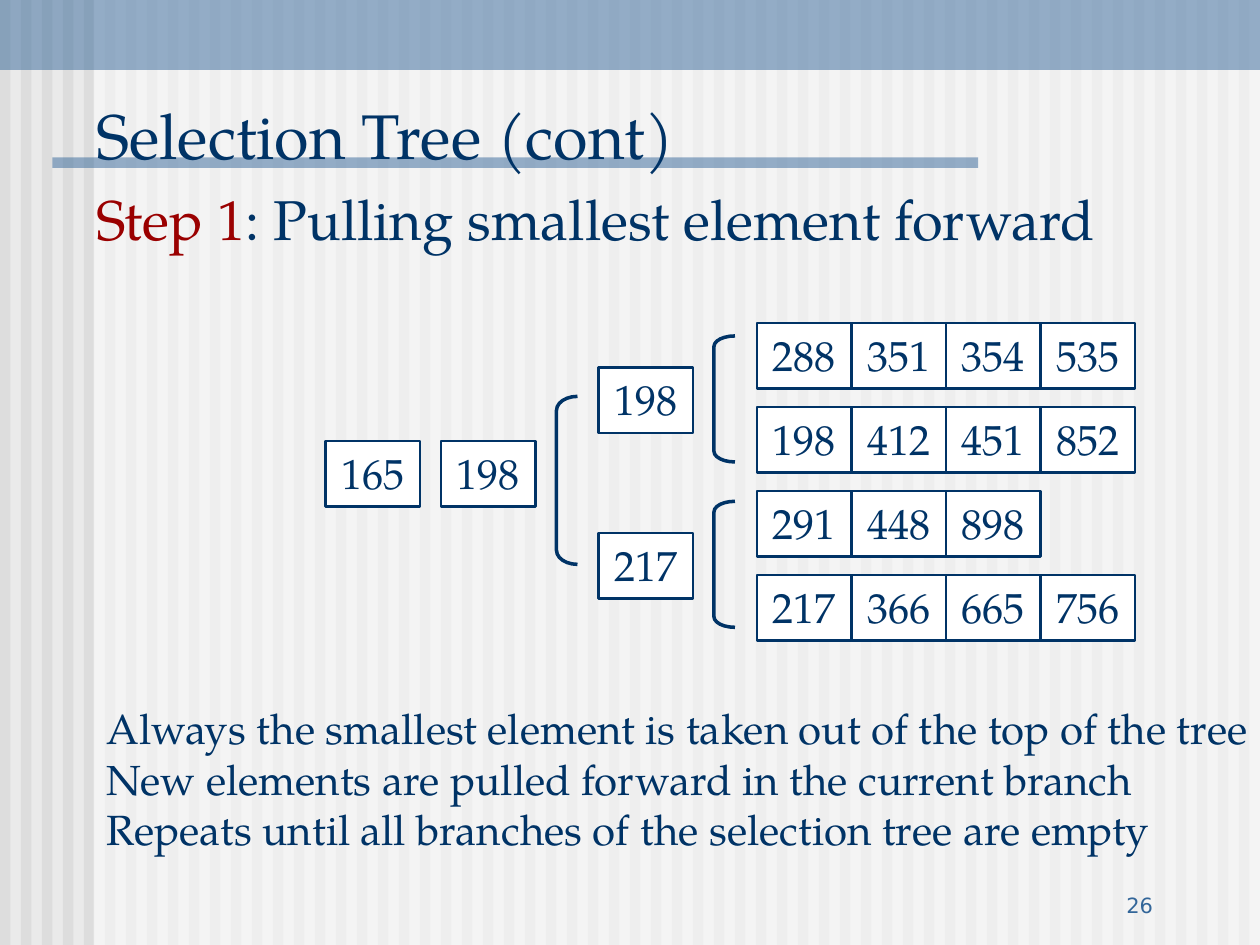
from dataclasses import dataclass

from lxml import etree
from pptx import Presentation, util as u
from pptx.dml import color
from pptx.enum import shapes, text
from pptx.oxml import ns

NAVY, BLUE, RED, WHITE = "003366", "336699", "9A0000", "FFFFFF"
SERIF, SANS = "TeX Gyre Pagella", "DejaVu Sans"
SLIDE_WIDTH, SLIDE_HEIGHT = 720, 540
STRIPE_COUNT, STRIPE_PITCH, STRIPE_WIDTH = 60, 12, 6
CELL_WIDTH, CELL_HEIGHT = 54, 37.5
RUNS_LEFT, RUNS_TOP, RUN_PITCH = 432.5, 184.5, 48


@dataclass(frozen=True)
class Box:
    left: float
    top: float
    width: float
    height: float

    def lengths(self) -> tuple:
        return tuple(u.Pt(value) for value in (self.left, self.top, self.width, self.height))


@dataclass(frozen=True)
class Node:
    value: int
    left: float
    top: float


@dataclass(frozen=True)
class Bracket:
    box: Box
    curve: float


SORTED_RUNS = [
    (288, 351, 354, 535),
    (198, 412, 451, 852),
    (291, 448, 898),
    (217, 366, 665, 756),
]
TREE_NODES = [
    Node(198, 342, 210),
    Node(217, 342, 304.5),
    Node(198, 252, 252),
    Node(165, 186, 252),
]
BRACKETS = [
    Bracket(Box(408, 192, 12, 72), 0.5),
    Bracket(Box(408, 286.5, 12, 72), 0.5),
    Bracket(Box(318, 226.5, 12, 96), 0.667),
]
CONCLUSIONS = [
    "Always the smallest element is taken out of the top of the tree",
    "New elements are pulled forward in the current branch",
    "Repeats until all branches of the selection tree are empty",
]


def rgb(value: str) -> color.RGBColor:
    return color.RGBColor.from_string(value)


def add_run(paragraph, content: str, *, size: float = 24, font: str = SERIF, ink: str = NAVY) -> None:
    run = paragraph.add_run()
    run.text = content
    run.font.size = u.Pt(size)
    run.font.name = font
    run.font.color.rgb = rgb(ink)


def add_rectangle(slide, box: Box, fill: str, alpha: int = 100):
    shape = slide.shapes.add_shape(shapes.MSO_SHAPE.RECTANGLE, *box.lengths())
    shape.shadow.inherit = False
    shape.fill.solid()
    shape.fill.fore_color.rgb = rgb(fill)
    shape.line.fill.background()
    if alpha < 100:
        tint = shape.fill._xPr.find(f".//{ns.qn('a:srgbClr')}")
        etree.SubElement(tint, ns.qn("a:alpha"), val=str(alpha * 1000))
    return shape


def add_text(slide, box: Box, lines: list[list[tuple[str, str]]], *, size: float, font: str = SERIF,
             anchor=text.MSO_ANCHOR.TOP, align=text.PP_ALIGN.LEFT) -> None:
    frame = slide.shapes.add_textbox(*box.lengths()).text_frame
    frame.word_wrap = True
    frame.vertical_anchor = anchor
    for index, line in enumerate(lines):
        paragraph = frame.add_paragraph() if index else frame.paragraphs[0]
        paragraph.alignment = align
        for content, ink in line:
            add_run(paragraph, content, size=size, font=font, ink=ink)


def add_node(slide, node: Node) -> None:
    shape = add_rectangle(slide, Box(node.left, node.top, CELL_WIDTH, CELL_HEIGHT), WHITE)
    shape.line.color.rgb = rgb(NAVY)
    shape.line.width = u.Pt(1.5)
    shape.text_frame.vertical_anchor = text.MSO_ANCHOR.TOP
    paragraph = shape.text_frame.paragraphs[0]
    paragraph.alignment = text.PP_ALIGN.CENTER
    add_run(paragraph, str(node.value))


def add_bracket(slide, bracket: Bracket) -> None:
    shape = slide.shapes.add_shape(shapes.MSO_SHAPE.LEFT_BRACKET, *bracket.box.lengths())
    shape.shadow.inherit = False
    shape.adjustments[0] = bracket.curve
    shape.fill.background()
    shape.line.color.rgb = rgb(NAVY)
    shape.line.width = u.Pt(2)


def add_backdrop(slide) -> None:
    slide.background.fill.solid()
    slide.background.fill.fore_color.rgb = rgb("EAEAEA")
    for index in range(STRIPE_COUNT):
        add_rectangle(slide, Box(index * STRIPE_PITCH, 0, STRIPE_WIDTH, SLIDE_HEIGHT), "DDDDDD")
    add_rectangle(slide, Box(53.5, 0, SLIDE_WIDTH - 53.5, SLIDE_HEIGHT), WHITE, 50)
    add_rectangle(slide, Box(0, 0, SLIDE_WIDTH, 40), BLUE, 50)
    add_rectangle(slide, Box(30, 90, 529, 6), BLUE, 50)


def main() -> None:
    """Build the selection tree slide."""
    presentation = Presentation()
    presentation.slide_width = u.Pt(SLIDE_WIDTH)
    presentation.slide_height = u.Pt(SLIDE_HEIGHT)
    slide = presentation.slides.add_slide(presentation.slide_layouts[6])
    add_backdrop(slide)
    add_text(slide, Box(516, 492, 150, 36), [[("26", BLUE)]], size=12, font=SANS,
             anchor=text.MSO_ANCHOR.BOTTOM, align=text.PP_ALIGN.RIGHT)
    add_text(slide, Box(48, 42, 672, 60), [[("Selection Tree (cont)", NAVY)]], size=36,
             anchor=text.MSO_ANCHOR.BOTTOM)
    add_text(slide, Box(48, 102, 666, 408),
             [[("Step 1", RED), (": Pulling smallest element forward", NAVY)]], size=32)
    add_text(slide, Box(54, 398, 672, 94), [[(line, NAVY)] for line in CONCLUSIONS], size=24)
    for row, values in enumerate(SORTED_RUNS):
        for column, value in enumerate(values):
            add_node(slide, Node(value, RUNS_LEFT + column * CELL_WIDTH, RUNS_TOP + row * RUN_PITCH))
    for node in TREE_NODES:
        add_node(slide, node)
    for bracket in BRACKETS:
        add_bracket(slide, bracket)
    presentation.save("out.pptx")


if __name__ == "__main__":
    main()
